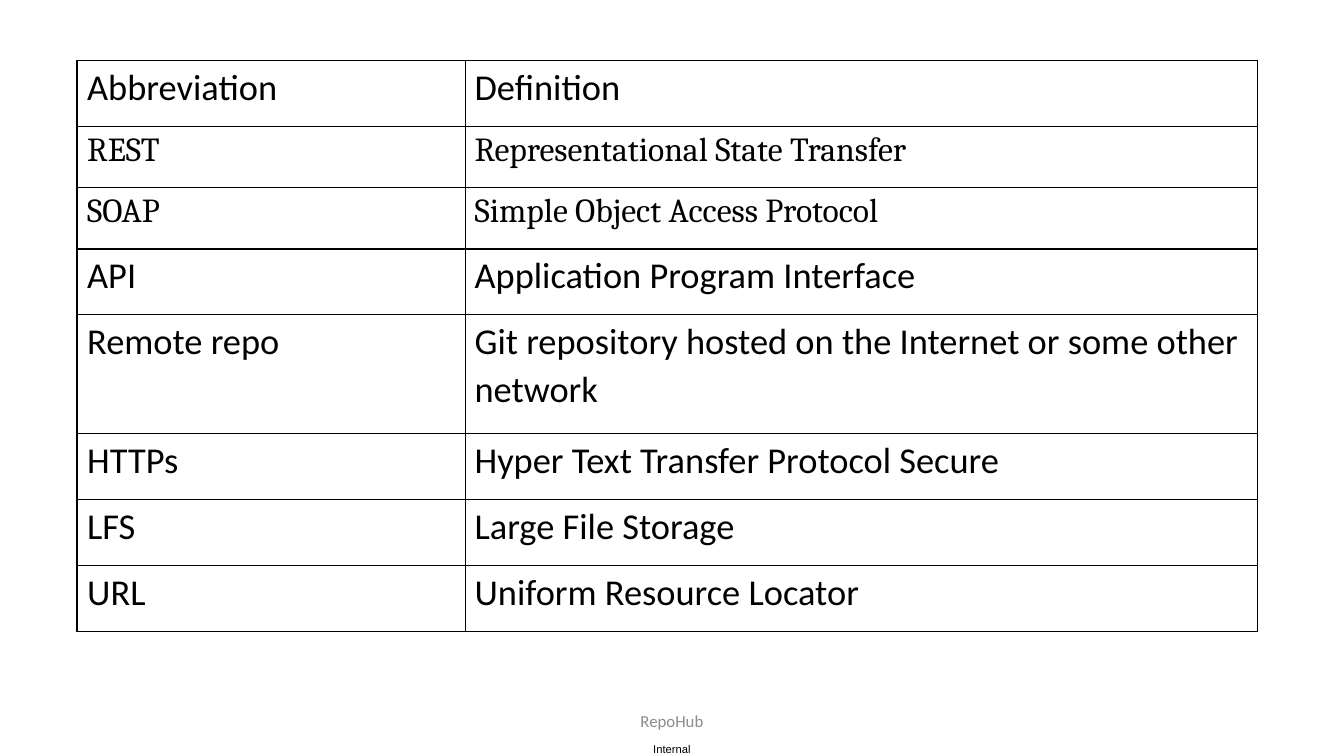
from dataclasses import dataclass

from lxml import etree
from pptx import Presentation
from pptx.dml.color import RGBColor
from pptx.enum import text
from pptx.oxml import ns
from pptx.util import Pt


@dataclass(frozen=True)
class Theme:
    ink: str = "000000"
    muted: str = "8C8C8C"
    body_font: str = "Calibri"
    serif_font: str = "Cambria"
    label_font: str = "Arial"
    body_size: float = 26
    serif_size: float = 24
    footer_size: float = 12
    label_size: float = 8
    border: float = 1


@dataclass(frozen=True)
class Box:
    left: float
    top: float
    width: float
    height: float


THEME = Theme()
GLOSSARY = [
    ("Abbreviation", "Definition"),
    ("REST", "Representational State Transfer"),
    ("SOAP", "Simple Object Access Protocol"),
    ("API", "Application Program Interface"),
    ("Remote repo", "Git repository hosted on the Internet or some other network"),
    ("HTTPs", "Hyper Text Transfer Protocol Secure"),
    ("LFS", "Large File Storage"),
    ("URL", "Uniform Resource Locator"),
]
SERIF_TERMS = {"REST", "SOAP"}
ROW_HEIGHT, SERIF_HEIGHT, TWO_LINE_HEIGHT = 47.1, 43.9, 85
TERM_SHARE = 0.33


def format_runs(para, font, size, color):
    for span in para.runs:
        span.font.name = font
        span.font.size = Pt(size)
        span.font.color.rgb = RGBColor.from_string(color)


def draw_borders(cell):
    properties = cell._tc.get_or_add_tcPr()
    for index, side in enumerate(("lnL", "lnR", "lnT", "lnB")):
        line = etree.Element(ns.qn(f"a:{side}"), w=str(Pt(THEME.border)))
        fill = etree.SubElement(line, ns.qn("a:solidFill"))
        etree.SubElement(fill, ns.qn("a:srgbClr"), val=THEME.ink)
        properties.insert(index, line)


def fill_cell(cell, wording, indent, font, size):
    cell.fill.background()
    draw_borders(cell)
    cell.margin_left = cell.margin_right = cell.margin_top = Pt(1.5)
    cell.margin_bottom = 0
    cell.text_frame.text = wording
    para = cell.text_frame.paragraphs[0]
    para.line_spacing = 1.07
    para.space_before = Pt(0.1)
    para._p.get_or_add_pPr().set("marL", str(Pt(indent)))
    format_runs(para, font, size, THEME.ink)


def row_height(term):
    if term in SERIF_TERMS:
        return SERIF_HEIGHT
    return TWO_LINE_HEIGHT if term == "Remote repo" else ROW_HEIGHT


def add_glossary(page, box):
    frame = page.shapes.add_table(len(GLOSSARY), 2, Pt(box.left), Pt(box.top),
                                  Pt(box.width), Pt(box.height))
    table = frame.table
    table.first_row = table.horz_banding = False
    table.columns[0].width = Pt(box.width * TERM_SHARE - 1)
    table.columns[1].width = Pt(box.width * (1 - TERM_SHARE) + 1)
    for row, entry in zip(table.rows, GLOSSARY):
        term = entry[0]
        row.height = Pt(row_height(term))
        serif = term in SERIF_TERMS
        font = THEME.serif_font if serif else THEME.body_font
        size = THEME.serif_size if serif else THEME.body_size
        for cell, wording, indent in zip(row.cells, entry, (5.8, 5.2)):
            fill_cell(cell, wording, indent, font, size)


def add_centred_text(page, box, wording, font, size, color):
    shape = page.shapes.add_textbox(Pt(box.left), Pt(box.top),
                                    Pt(box.width), Pt(box.height))
    frame = shape.text_frame
    frame.word_wrap = True
    frame.margin_left = frame.margin_right = 0
    frame.margin_top = frame.margin_bottom = 0
    frame.vertical_anchor = text.MSO_ANCHOR.MIDDLE
    frame.text = wording
    para = frame.paragraphs[0]
    para.alignment = text.PP_ALIGN.CENTER
    format_runs(para, font, size, color)


def main():
    deck = Presentation()
    deck.slide_width, deck.slide_height = Pt(960), Pt(540)
    page = deck.slides.add_slide(deck.slide_layouts[6])

    # Classification label at the bottom edge
    add_centred_text(page, Box(465, 530.5, 30, 9.5), "Internal",
                     THEME.label_font, THEME.label_size, THEME.ink)
    # Table of abbreviations
    height = sum(row_height(term) for term, _ in GLOSSARY)
    add_glossary(page, Box(55, 43, 843.5, height))
    # Footer
    add_centred_text(page, Box(318, 500.5, 324, 28.75), "RepoHub",
                     THEME.body_font, THEME.footer_size, THEME.muted)

    deck.save("out.pptx")


if __name__ == "__main__":
    main()
